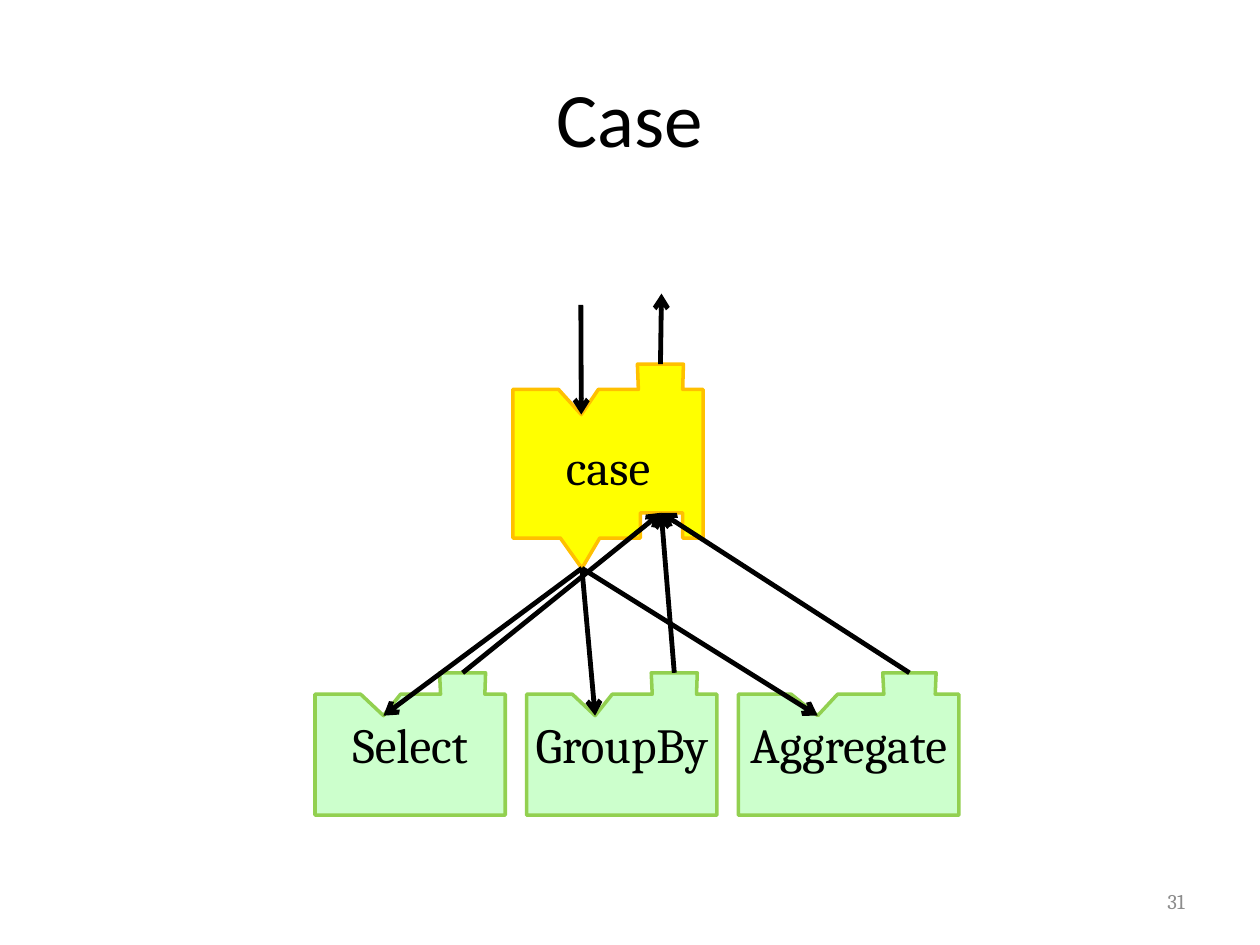
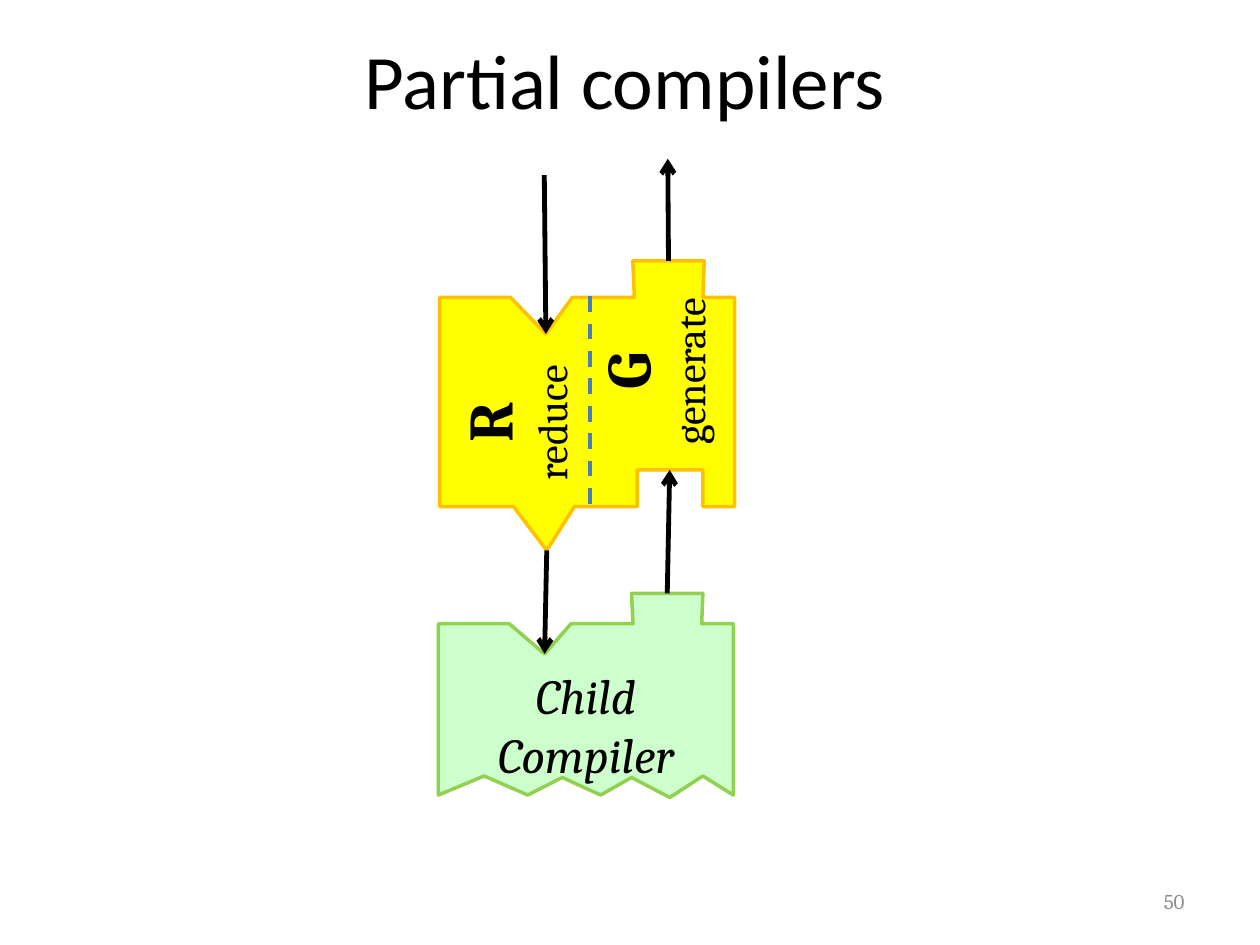
from lxml import etree
from pptx import Presentation
from pptx.dml.color import RGBColor
from pptx.enum.dml import MSO_LINE
from pptx.enum.shapes import MSO_CONNECTOR
from pptx.enum.text import MSO_ANCHOR as Anchor, MSO_AUTO_SIZE as AutoSize, PP_ALIGN as Align
from pptx.oxml.ns import qn
from pptx.util import Inches, Pt

# Shared look
STYLES = {
    "partial": {"fill": "FFFF00", "line": "FFC000"},
    "compiler": {"fill": "CCFFCC", "line": "92D050"},
}
TITLE = {"name": "Calibri", "size": Pt(44), "color": "000000"}
LABEL = {"name": "Cambria", "size": Pt(28), "color": "000000"}
LETTER = {**LABEL, "size": Pt(36), "bold": True}
VERB = {**LABEL, "size": Pt(24), "bold": False}
NUMBER = {"name": "Cambria", "size": Pt(12), "color": "8C8C8C"}

# Puzzle outline: fractions of the width across, multiples of the tab height down
TOP_EDGE = [(0, 1), (0.24, 1), (0.36, 2), (0.45, 1), (0.66, 1),
            (0.655, 0), (0.897, 0), (0.893, 1), (1, 1)]
BOTTOM_EDGES = {
    "flat": [(1, 0), (0, 0)],
    "socket": [(1, 0), (0.893, 0), (0.893, -1), (0.67, -1), (0.67, 0),
               (0.457, 0), (0.363, 1.2), (0.25, 0), (0, 0)],
    "torn": [(1, 0), (0.897, -0.63), (0.785, 0.08), (0.655, -0.58), (0.55, 0),
             (0.42, -0.58), (0.303, 0), (0.155, -0.63), (0, 0)],
}
PORTS = {"inlet": 0.36, "outlet": 0.776, "child_inlet": 0.363, "child_outlet": 0.78}

# Content: parts, then arrows between a part's port and another port or a point
CHILD = {"style": "compiler", "edge": "flat", "top": 5.34, "tab": 0.17, "bottom": 6.47}
SLIDES = [
    {
        "title": "Case", "title_at": (0.5, 0.3), "number": "31",
        "parts": {
            "case": {"style": "partial", "edge": "socket", "left": 4.07, "top": 2.89,
                     "width": 1.51, "tab": 0.2, "bottom": 4.27, "lines": ["case"]},
            "select": {**CHILD, "left": 2.5, "width": 1.51, "lines": ["Select"]},
            "group": {**CHILD, "left": 4.18, "width": 1.51, "lines": ["GroupBy"]},
            "aggregate": {**CHILD, "left": 5.86, "width": 1.75, "lines": ["Aggregate"]},
        },
        "arrows": [((4.61, 2.42), ("case", "inlet")), (("case", "outlet"), (5.25, 2.33))]
        + [arrow for child in ("select", "group", "aggregate") for arrow in (
            (("case", "child_inlet"), (child, "inlet")),
            ((child, "outlet"), ("case", "child_outlet")))],
    },
    {
        "title": "Partial compilers", "title_at": (0.46, 0), "number": "50",
        "parts": {
            "partial": {"style": "partial", "edge": "socket", "left": 3.49, "top": 2.07,
                        "width": 2.34, "tab": 0.29, "bottom": 4.02, "lines": []},
            "child": {"style": "compiler", "edge": "torn", "left": 3.48, "top": 4.71,
                      "width": 2.34, "tab": 0.24, "bottom": 6.31, "inset": 0.51,
                      "lines": ["Child", "Compiler"], "format": {"italic": True}},
        },
        "arrows": [((4.32, 1.39), ("partial", "inlet")),
                   (("partial", "outlet"), (5.3, 1.26)),
                   (("partial", "child_inlet"), ("child", "inlet")),
                   (("child", "outlet"), ("partial", "child_outlet"))],
        "divider": ((4.68, 2.35), (4.68, 4)),
        "stages": [("R", "reduce", (3.5, 2.8, 1.15, 1.11)),
                   ("G", "generate", (4.46, 2.39, 1.42, 1.11))],
    },
]


def colour(value):
    return RGBColor.from_string(value)


def set_font(font, values):
    for name, value in values.items():
        if name == "color":
            font.color.rgb = colour(value)
        else:
            setattr(font, name, value)


def write(frame, lines, align=Align.CENTER, **settings):
    """Fill a text frame with (text, font values) lines, one paragraph each."""
    for name, value in settings.items():
        setattr(frame, name, value)
    for index, (text, values) in enumerate(lines):
        paragraph = frame.add_paragraph() if index else frame.paragraphs[0]
        paragraph.alignment = align
        run = paragraph.add_run()
        run.text = text
        set_font(run.font, values)


def add_part(slide, part):
    """Draw a puzzle piece with its label."""
    def place(edge, base):
        return [(Inches(part["left"] + x * part["width"]), Inches(base + y * part["tab"]))
                for x, y in edge]

    points = place(TOP_EDGE, part["top"]) + place(BOTTOM_EDGES[part["edge"]], part["bottom"])
    builder = slide.shapes.build_freeform(*points[0], scale=1.0)
    builder.add_line_segments(points[1:], close=True)
    shape = builder.convert_to_shape()
    style = STYLES[part["style"]]
    shape.shadow.inherit = False
    shape.fill.solid()
    shape.fill.fore_color.rgb = colour(style["fill"])
    shape.line.color.rgb = colour(style["line"])
    shape.line.width = Pt(2)
    values = {**LABEL, **part.get("format", {})}
    write(shape.text_frame, [(line, values) for line in part["lines"]], word_wrap=False,
          vertical_anchor=Anchor.MIDDLE, margin_top=Inches(part.get("inset", 0.05)))


def locate(parts, end):
    """Turn a (part, port) pair into a point; points pass through."""
    if end[0] not in parts:
        return end
    part, port = parts[end[0]], end[1]
    heights = {
        "inlet": part["top"] + 2 * part["tab"],
        "outlet": part["top"],
        "child_inlet": part["bottom"] + 1.2 * part["tab"],
        "child_outlet": part["bottom"] - part["tab"],
    }
    return part["left"] + PORTS[port] * part["width"], heights[port]


def add_line(slide, start, end, color="000000", width=2.75, dash=None, arrow=True):
    connector = slide.shapes.add_connector(
        MSO_CONNECTOR.STRAIGHT, *(Inches(value) for value in (*start, *end)))
    connector.line.color.rgb = colour(color)
    connector.line.width = Pt(width)
    if dash:
        connector.line.dash_style = dash
    properties = connector._element.spPr
    if arrow:
        etree.SubElement(properties.find(qn("a:ln")), qn("a:tailEnd"), type="arrow")
    etree.SubElement(properties, qn("a:effectLst"))


def add_text_box(slide, box):
    return slide.shapes.add_textbox(*(Inches(value) for value in box))


def build_slide(presentation, content):
    slide = presentation.slides.add_slide(presentation.slide_layouts[5])

    # Title and slide number
    title = slide.shapes.title
    left, top = content["title_at"]
    frame = {"left": left, "top": top, "width": 9, "height": 1.25}
    for name, value in frame.items():
        setattr(title, name, Inches(value))
    write(title.text_frame, [(content["title"], TITLE)], vertical_anchor=Anchor.MIDDLE)
    number = add_text_box(slide, (7.17, 6.95, 2.33, 0.4))
    write(number.text_frame, [(content["number"], NUMBER)], Align.RIGHT,
          word_wrap=True, vertical_anchor=Anchor.MIDDLE)

    # Puzzle pieces and the arrows between them
    parts = content["parts"]
    for part in parts.values():
        add_part(slide, part)
    for start, end in content["arrows"]:
        add_line(slide, locate(parts, start), locate(parts, end))

    # Divider and the rotated stage names
    if "divider" in content:
        add_line(slide, *content["divider"], color="4B7EBC", width=2.25,
                 dash=MSO_LINE.DASH, arrow=False)
    for letter, verb, box in content.get("stages", []):
        stage = add_text_box(slide, box)
        stage.rotation = 270
        write(stage.text_frame, [(letter, LETTER), (verb, VERB)],
              word_wrap=False, auto_size=AutoSize.SHAPE_TO_FIT_TEXT)


def main():
    presentation = Presentation()
    presentation.slide_width = Inches(10)
    presentation.slide_height = Inches(7.5)
    for content in SLIDES:
        build_slide(presentation, content)
    presentation.save("out.pptx")


if __name__ == "__main__":
    main()
